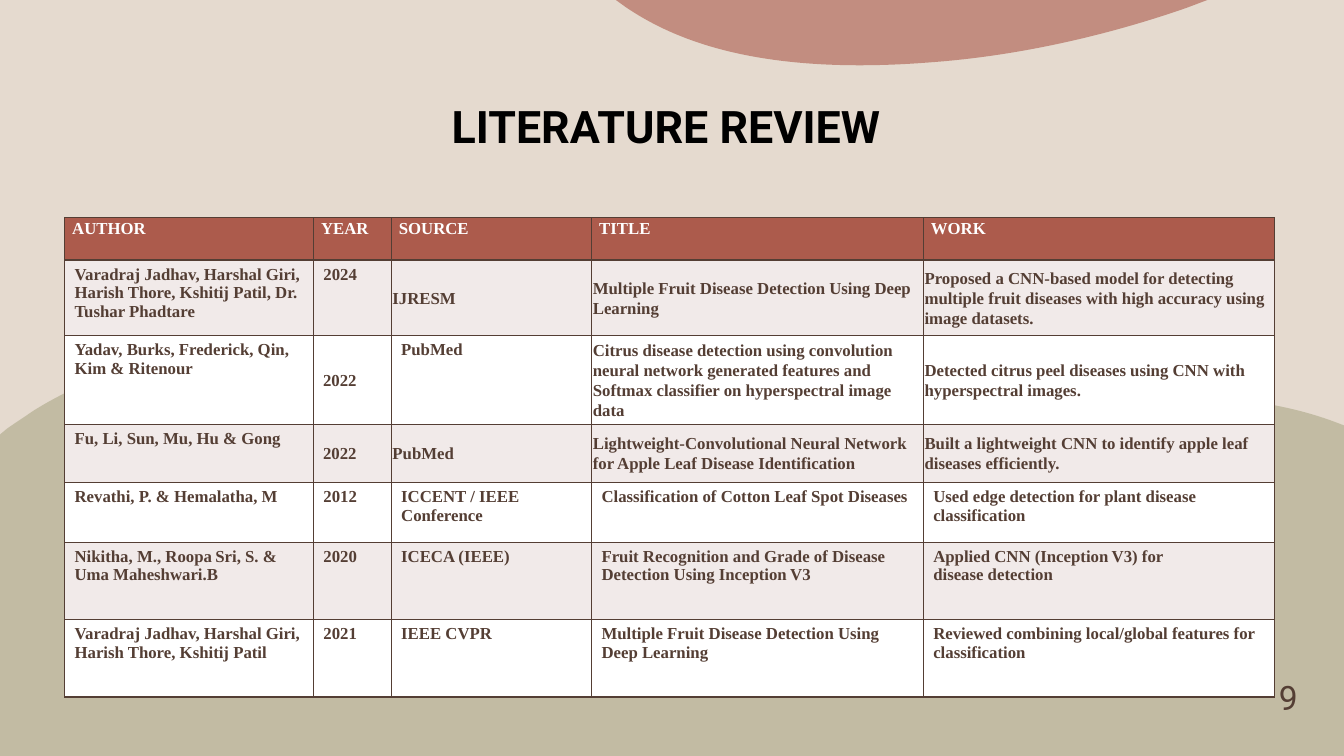
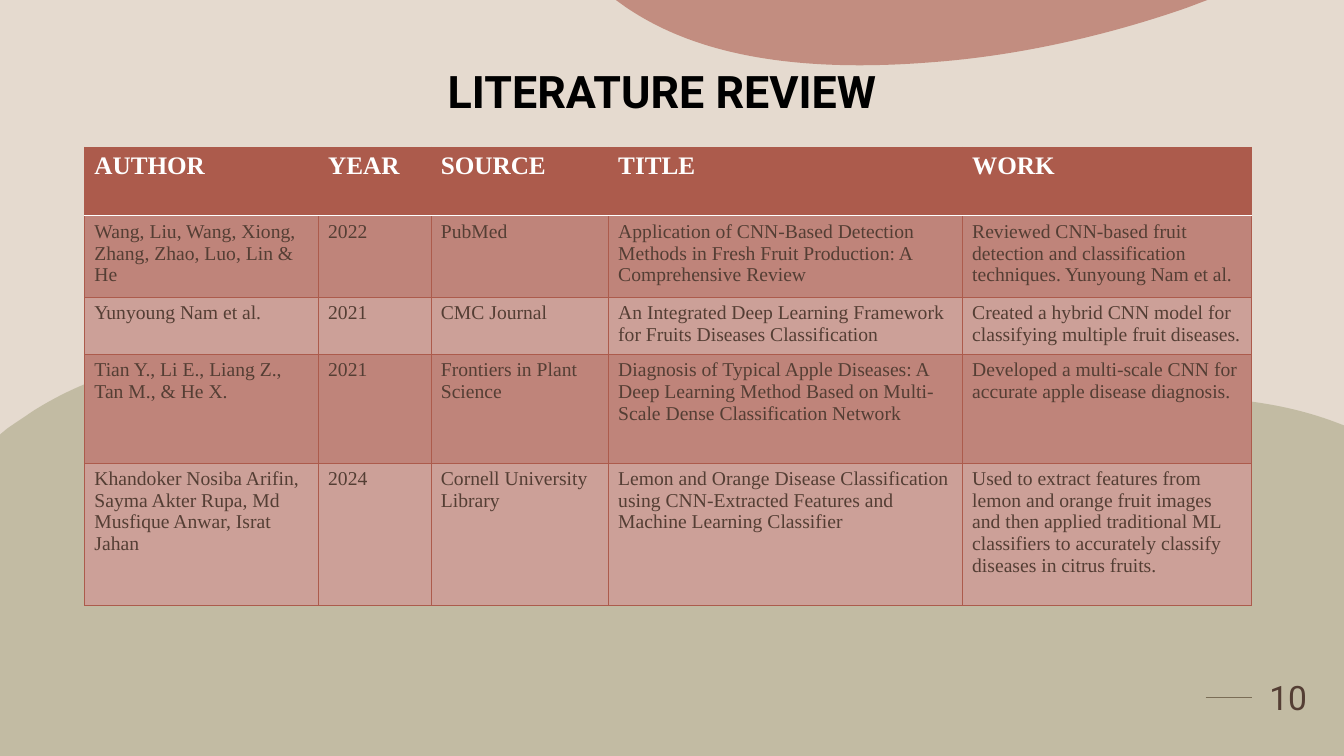
from lxml import etree
from pptx import Presentation, util as u
from pptx.dml.color import RGBColor
from pptx.enum import shapes, text
from pptx.oxml import ns

BROWN, RUST, SAGE, SAND = "543E34", "AC5B4C", "A09D79", "E5DACF"
WHITE, BLACK, BLUSH = "FFFFFF", "000000", "F1EAE9"
DARK_ROSE, LIGHT_ROSE = "BF847A", "CCA098"
HEADING_FONT, TABLE_FONT = "Roboto", "Times New Roman"
HEADINGS = ["AUTHOR", "YEAR", "SOURCE", "TITLE", "WORK"]
HARD_SPACE, THIN_HARD_SPACE = chr(0xA0), chr(0x202F)

# Outlines in cm: a pair is a line end, six numbers are a Bezier curve
HILLS = [
    (5.13, 9.09),
    (5.99, 9.12, 6.86, 9.3, 7.72, 9.63),
    (8.48, 9.91, 9.14, 10.36, 9.8, 10.8),
    (11.25, 11.73, 12.83, 12.45, 14.66, 12.7),
    (16.18, 12.93, 17.73, 12.78, 19.28, 12.4),
    (21.01, 11.99, 22.02, 11.61, 23.06, 11.25),
    (24.08, 10.9, 29.49, 9.07, 33.66, 10.64),
    (33.87, 10.72), (33.87, 19.05), (0, 19.05), (0, 10.95), (0.18, 10.8),
    (0.41, 10.64, 0.64, 10.49, 0.86, 10.34),
    (2.29, 9.45, 3.71, 9.09, 5.13, 9.09),
]
TOP_WAVE = [
    (15.52, 0), (30.43, 0), (29.9, 0.2),
    (26.82, 1.27, 24.41, 1.5, 23.47, 1.57),
    (19.2, 1.91, 17.04, 1.04, 15.77, 0.18),
]

# Cell layouts: margins left, top, right, bottom in cm
LAYOUTS = {
    "header": dict(margins=(0.19, 0, 0.19, 0), loose=True),
    "top": dict(margins=(0.25, 0.13, 0.25, 0.13)),
    "middle": dict(margins=(0.03,) * 4, centred=True, loose=True),
    "indented": dict(margins=(0.24, 0.03, 0.03, 0.03), centred=True, loose=True),
}
T, M, I = "top", "middle", "indented"

PAGES = [
    dict(
        number=9, title_at=(2.54, 1.45), table_at=(1.63, 5.49),
        columns=[6.27, 1.96, 5.05, 8.36, 8.84],
        heights=[1.06, 1.91, 1.47, 1.47, 1.5, 1.95, 1.95],
        header_layout="header", header_size=12, size=12, bold=True,
        bands=[BLUSH, WHITE], border=(BROWN, 1), header_rule=(BROWN, 1),
        layouts=[[T, T, M, M, M], [T, I, T, M, M], [T, I, M, M, M]] + [[T] * 5] * 3,
        rows=[
            ["Varadraj Jadhav, Harshal Giri, Harish Thore, Kshitij Patil, Dr. Tushar Phadtare",
             "2024", "IJRESM", "Multiple Fruit Disease Detection Using Deep Learning",
             "Proposed a CNN-based model for detecting multiple fruit diseases "
             "with high accuracy using image datasets."],
            ["Yadav, Burks, Frederick, Qin, Kim & Ritenour", "2022", "PubMed",
             "Citrus disease detection using convolution neural network generated "
             "features and Softmax classifier on hyperspectral image data",
             "Detected citrus peel diseases using CNN with hyperspectral images."],
            ["Fu, Li, Sun, Mu, Hu & Gong", "2022", "PubMed",
             "Lightweight-Convolutional Neural Network for Apple Leaf Disease Identification",
             "Built a lightweight CNN to identify apple leaf diseases efficiently."],
            ["Revathi, P. & Hemalatha, M", "2012", "ICCENT / IEEE Conference",
             "Classification of Cotton Leaf Spot Diseases",
             "Used edge detection for plant disease classification"],
            [f"Nikitha, M., Roopa{THIN_HARD_SPACE}Sri, S. & Uma Maheshwari.B",
             "2020", "ICECA (IEEE)",
             "Fruit Recognition and Grade of Disease Detection Using "
             f"Inception{THIN_HARD_SPACE}V3",
             f"Applied CNN (Inception{THIN_HARD_SPACE}V3) for "
             f"disease{HARD_SPACE}detection"],
            ["Varadraj Jadhav, Harshal Giri, Harish Thore, Kshitij Patil", "2021",
             "IEEE CVPR",
             f"Multiple Fruit Disease Detection Using Deep{HARD_SPACE}Learning",
             "Reviewed combining local/global features for classification"],
        ],
    ),
    dict(
        number=10, title_at=(2.44, 0.56), table_at=(2.13, 3.71),
        columns=[5.89, 2.84, 4.47, 8.92, 7.29],
        heights=[1.73, 1.8, 1.27, 2.74, 3.58],
        header_layout=T, header_size=18, size=14, bold=False,
        bands=[DARK_ROSE, LIGHT_ROSE], border=(RUST, 0.5), header_rule=(WHITE, 1),
        layouts=[[T] * 5] * 4,
        rows=[
            ["Wang, Liu, Wang, Xiong, Zhang, Zhao, Luo, Lin & He", "2022", "PubMed",
             "Application of CNN-Based Detection Methods in Fresh Fruit Production: "
             "A Comprehensive Review",
             "Reviewed CNN-based fruit detection and classification techniques. "
             "Yunyoung Nam et al."],
            ["Yunyoung Nam et al.", "2021", "CMC Journal",
             "An Integrated Deep Learning Framework for Fruits Diseases Classification",
             "Created a hybrid CNN model for classifying multiple fruit diseases."],
            ["Tian Y., Li E., Liang Z., Tan M., & He X.", "2021",
             "Frontiers in Plant Science",
             "Diagnosis of Typical Apple Diseases: A Deep Learning Method Based on "
             "Multi-Scale Dense Classification Network",
             "Developed a multi-scale CNN for accurate apple disease diagnosis."],
            ["Khandoker Nosiba Arifin, Sayma Akter Rupa, Md Musfique Anwar, Israt Jahan",
             "2024", "Cornell University Library",
             "Lemon and Orange Disease Classification using CNN-Extracted Features "
             "and Machine Learning Classifier",
             "Used to extract features from lemon and orange fruit images and then "
             "applied traditional ML classifiers to accurately classify diseases in "
             "citrus fruits."],
        ],
    ),
]


def rgb(color):
    return RGBColor.from_string(color)


def set_font(paragraph, name, size, color, bold=False):
    """Set the paragraph and its run, as the run also sizes the last line."""
    for font in (paragraph.font, paragraph.runs[0].font):
        font.name, font.size, font.bold = name, u.Pt(size), bold
        font.color.rgb = rgb(color)


def add_wave(slide, outline, height, color, opacity):
    """Draw an outline; its control points may reach beyond the height."""
    points = [(round(x * 1000), round(y * 1000))
              for segment in outline for x, y in zip(segment[::2], segment[1::2])]
    builder = slide.shapes.build_freeform(*points[0], scale=u.Cm(1) / 1000)
    builder.add_line_segments(points[1:], close=True)
    shape = builder.convert_to_shape()
    route = shape._element.find(".//" + ns.qn("a:path"))
    lines = iter(route.findall(ns.qn("a:lnTo")))
    for segment in outline[1:]:
        line = next(lines)
        if len(segment) == 6:
            line.tag = ns.qn("a:cubicBezTo")
            for _ in range(2):
                extra = next(lines)
                line.append(extra[0])
                route.remove(extra)
    route.set("h", str(round(height * 1000)))
    shape.height = u.Cm(height)
    shape.shadow.inherit = False
    shape.line.fill.background()
    shape.fill.solid()
    shape.fill.fore_color.rgb = rgb(color)
    color_element = shape.fill._xPr.find(".//" + ns.qn("a:srgbClr"))
    etree.SubElement(color_element, ns.qn("a:alpha"), val=str(opacity * 1000))


def add_text(slide, content, box, anchor, size, color, bold=False):
    frame = slide.shapes.add_textbox(*map(u.Cm, box)).text_frame
    frame.word_wrap = True
    frame.vertical_anchor = anchor
    paragraph = frame.paragraphs[0]
    paragraph.text = content
    paragraph.alignment = text.PP_ALIGN.CENTER
    set_font(paragraph, HEADING_FONT, size, color, bold)
    return paragraph


def add_frame(slide, page):
    """Draw the dash, waves, title and page number."""
    dash = slide.shapes.add_connector(
        shapes.MSO_CONNECTOR.STRAIGHT, *map(u.Cm, (30.38, 17.58, 31.55, 17.58)))
    dash.line.color.rgb = rgb(BROWN)
    dash.line.width = u.Pt(1.25)
    etree.SubElement(dash._element.spPr, ns.qn("a:effectLst"))
    add_wave(slide, HILLS, 9.98, SAGE, 50)
    add_wave(slide, TOP_WAVE, 1.65, RUST, 60)
    title = add_text(slide, "LITERATURE REVIEW ", (*page["title_at"], 28.78, 2.54),
                     text.MSO_ANCHOR.BOTTOM, 32, BLACK, True)
    title.line_spacing = 0.9
    add_text(slide, str(page["number"]), (31.55, 16.33, 1.83, 2.49),
             text.MSO_ANCHOR.MIDDLE, 24, BROWN)


def set_borders(cell, **sides):
    properties = cell._tc.get_or_add_tcPr()
    for side in "LRTB":
        color, width = sides[side]
        line = etree.SubElement(properties, ns.qn("a:ln" + side), w=str(u.Pt(width)))
        fill = etree.SubElement(line, ns.qn("a:solidFill"))
        etree.SubElement(fill, ns.qn("a:srgbClr"), val=color)


def fill_cell(cell, content, fill, layout, font):
    cell.fill.solid()
    cell.fill.fore_color.rgb = rgb(fill)
    (cell.margin_left, cell.margin_top,
     cell.margin_right, cell.margin_bottom) = map(u.Cm, layout["margins"])
    centred = layout.get("centred")
    cell.vertical_anchor = text.MSO_ANCHOR.MIDDLE if centred else text.MSO_ANCHOR.TOP
    paragraph = cell.text_frame.paragraphs[0]
    paragraph.text = content
    if layout.get("loose"):
        paragraph.line_spacing = 1.07
        paragraph.space_after = u.Pt(8)
    set_font(paragraph, TABLE_FONT, *font)


def add_review_table(slide, page):
    columns, heights = page["columns"], page["heights"]
    box = (*page["table_at"], sum(columns), sum(heights))
    table = slide.shapes.add_table(len(heights), len(columns), *map(u.Cm, box)).table
    table.horz_banding = False
    for column, width in zip(table.columns, columns):
        column.width = u.Cm(width)
    for row, height in zip(table.rows, heights):
        row.height = u.Cm(height)

    border, rule = page["border"], page["header_rule"]
    layouts = [[page["header_layout"]] * len(columns)] + page["layouts"]
    for r, contents in enumerate([HEADINGS] + page["rows"]):
        if r == 0:
            fill, font = RUST, (page["header_size"], WHITE, True)
        else:
            fill, font = page["bands"][(r - 1) % 2], (page["size"], BROWN, page["bold"])
        for c, content in enumerate(contents):
            cell = table.cell(r, c)
            set_borders(cell, L=border, R=border, T=rule if r == 1 else border,
                        B=rule if r == 0 else border)
            fill_cell(cell, content, fill, LAYOUTS[layouts[r][c]], font)


def main():
    presentation = Presentation()
    presentation.slide_width, presentation.slide_height = u.Cm(33.87), u.Cm(19.05)
    background = presentation.slide_master.background.fill
    background.solid()
    background.fore_color.rgb = rgb(SAND)
    for page in PAGES:
        slide = presentation.slides.add_slide(presentation.slide_layouts[6])
        add_frame(slide, page)
        add_review_table(slide, page)
    presentation.save("out.pptx")


if __name__ == "__main__":
    main()
